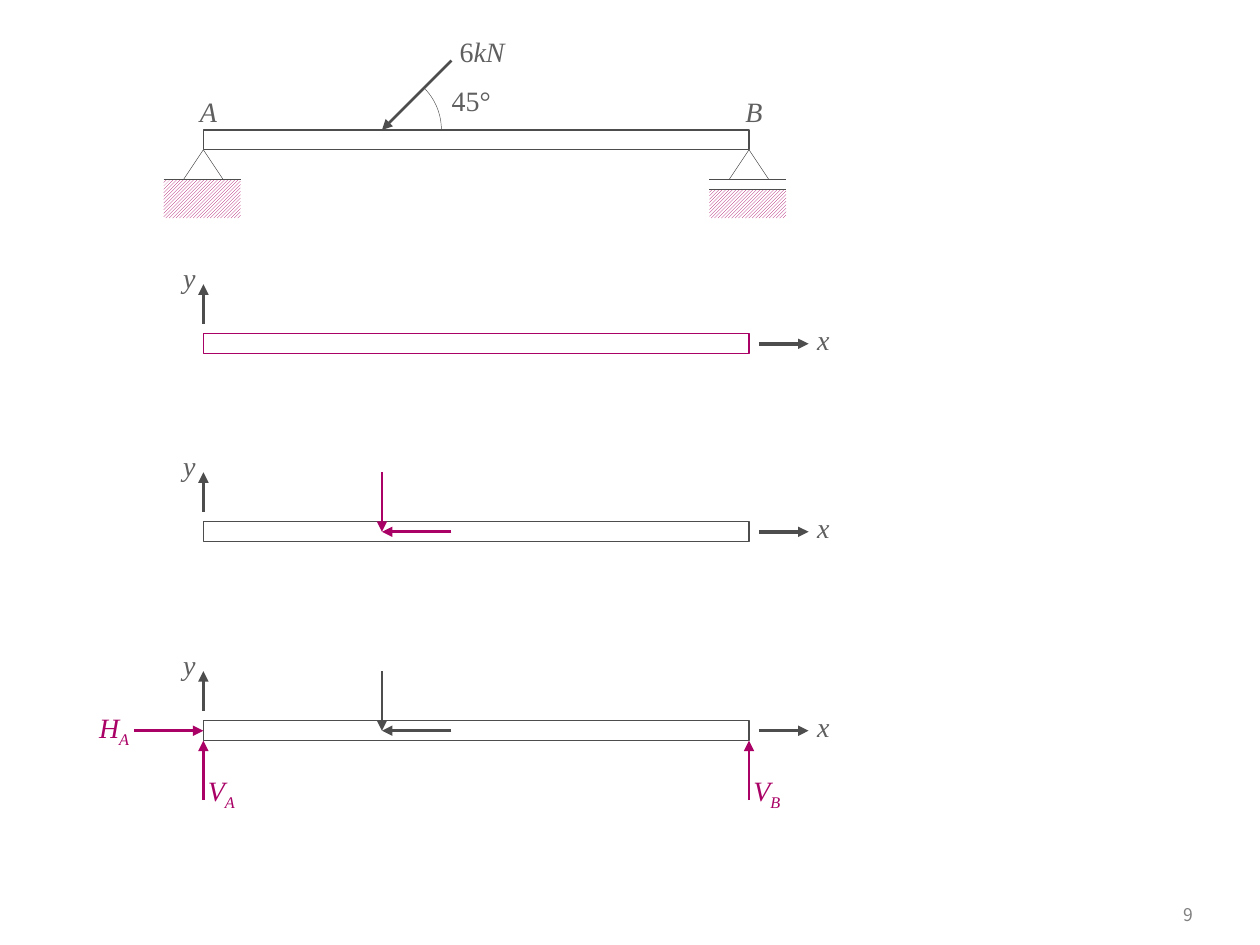
from typing import NamedTuple

from lxml.etree import SubElement
from pptx import Presentation
from pptx.dml.color import RGBColor
from pptx.enum.dml import MSO_PATTERN
from pptx.enum.shapes import MSO_CONNECTOR, MSO_SHAPE
from pptx.enum.text import MSO_ANCHOR, PP_ALIGN
from pptx.oxml.ns import qn
from pptx.util import Inches, Mm, Pt

INK, GREY, ACCENT, WHITE = "4D4D4D", "5F5F5F", "A90165", "FFFFFF"
CELL = Mm(2)
LEFT_END = 20.5
SPAN, HALF_DEPTH, LOAD_AT = 55, 1, 18
LABEL_ROWS = 4.7
PAGE = 9


class Run(NamedTuple):
    text: str
    italic: bool = True
    subscript: bool = False


class Label(NamedTuple):
    col: float
    row: float
    cols: float
    runs: tuple[Run, ...]
    color: str = GREY


class Segment(NamedTuple):
    start: tuple[float, float]
    end: tuple[float, float]
    color: str = INK
    weight: float = 1.5
    arrow: bool = True


class Support(NamedTuple):
    col: float
    ground_row: float
    ground_rows: float
    lines: tuple[float, ...]


def rgb(color: str) -> RGBColor:
    return RGBColor.from_string(color)


def col_x(col: float) -> int:
    return round((LEFT_END + col) * CELL)


def row_y(axis: float, row: float) -> int:
    return round((axis + row) * CELL)


def add_text(shapes, box, runs, *, color=GREY, size=16, font="Times New Roman",
             align=PP_ALIGN.CENTER, anchor=MSO_ANCHOR.TOP):
    frame = shapes.add_textbox(*box).text_frame
    frame.word_wrap = True
    frame.vertical_anchor = anchor
    paragraph = frame.paragraphs[0]
    paragraph.alignment = align
    for part in runs:
        run = paragraph.add_run()
        run.text = part.text
        run.font.name, run.font.size = font, Pt(size)
        run.font.italic = part.italic
        run.font.color.rgb = rgb(color)
        if part.subscript:
            run.font._element.set("baseline", "-25000")
    return paragraph


def draw_label(shapes, axis: float, label: Label) -> None:
    box = (col_x(label.col), row_y(axis, label.row),
           round(label.cols * CELL), round(LABEL_ROWS * CELL))
    add_text(shapes, box, label.runs, color=label.color)


def draw_segment(shapes, axis: float, segment: Segment) -> None:
    (x1, y1), (x2, y2) = segment.start, segment.end
    line = shapes.add_connector(MSO_CONNECTOR.STRAIGHT, col_x(x1), row_y(axis, y1),
                                col_x(x2), row_y(axis, y2))
    line.line.color.rgb = rgb(segment.color)
    line.line.width = Pt(segment.weight)
    if segment.arrow:
        SubElement(line.line._get_or_add_ln(), qn("a:tailEnd"), type="triangle")
    SubElement(line._element.spPr, qn("a:effectLst"))


def draw_outline(shapes, axis: float, kind, col: float, row: float, cols: float,
                 rows: float, color: str = INK, weight: float = 0.25):
    shape = shapes.add_shape(kind, col_x(col), row_y(axis, row),
                             round(cols * CELL), round(rows * CELL))
    shape.shadow.inherit = False
    shape.fill.background()
    shape.line.color.rgb = rgb(color)
    shape.line.width = Pt(weight)
    return shape


def draw_beam(shapes, axis: float, color: str = INK) -> None:
    draw_outline(shapes, axis, MSO_SHAPE.RECTANGLE, 0, -HALF_DEPTH, SPAN,
                 2 * HALF_DEPTH, color, 0.75)


def draw_support(shapes, axis: float, support: Support) -> None:
    left, width = support.col - 4, 7.75
    ground = draw_outline(shapes, axis, MSO_SHAPE.RECTANGLE, left,
                          support.ground_row, width, support.ground_rows)
    ground.line.fill.background()
    ground.fill.patterned()
    ground.fill.pattern = MSO_PATTERN.LIGHT_UPWARD_DIAGONAL
    ground.fill.fore_color.rgb = rgb(ACCENT)
    ground.fill.back_color.rgb = rgb(WHITE)
    for row in support.lines:
        draw_segment(shapes, axis, Segment((left, row), (left + width, row),
                                           weight=0.25, arrow=False))
    draw_outline(shapes, axis, MSO_SHAPE.ISOSCELES_TRIANGLE,
                 support.col - 2, HALF_DEPTH, 4, 3)


def draw_axes(shapes, axis: float) -> None:
    draw_segment(shapes, axis, Segment((0, -2), (0, -6), weight=0))
    draw_segment(shapes, axis, Segment((SPAN + 1, 0), (SPAN + 6, 0), weight=0))
    draw_label(shapes, axis, Label(60, -2.75, 5, (Run("x"),)))
    draw_label(shapes, axis, Label(-3.9, -9, 5, (Run("y"),)))


def draw_load_components(shapes, axis: float, color: str) -> None:
    for start in ((LOAD_AT + 7, 0), (LOAD_AT, -6)):
        draw_segment(shapes, axis, Segment(start, (LOAD_AT, 0), color))


def draw_loaded_beam(shapes, axis: float) -> None:
    draw_support(shapes, axis, Support(SPAN, 5, 2.9, (4, 5)))
    draw_support(shapes, axis, Support(0, 4, 3.9, (4,)))
    draw_beam(shapes, axis)
    draw_segment(shapes, axis, Segment((LOAD_AT + 7, -8), (LOAD_AT, -HALF_DEPTH)))
    angle = draw_outline(shapes, axis, MSO_SHAPE.ARC, LOAD_AT - 6, -7, 12, 12)
    angle.adjustments[0], angle.adjustments[1] = 189, 0
    for label in (
        Label(-3, -5.2, 7, (Run("A"),)),
        Label(23.1, -11.2, 10, (Run("6", italic=False), Run("kN"))),
        Label(21, -6.3, 12, (Run("45°", italic=False),)),
        Label(52, -5.2, 7, (Run("B"),)),
    ):
        draw_label(shapes, axis, label)


def draw_reactions(shapes, axis: float) -> None:
    for start, end in (((0, 7), (0, 1)), ((-7, 0), (0, 0)), ((SPAN, 7), (SPAN, 1))):
        draw_segment(shapes, axis, Segment(start, end, ACCENT))
    for col, row, cols, force, point in (
        (-1.7, 3.7, 7, "V", "A"),
        (-13, -2.7, 8, "H", "A"),
        (SPAN - 1.7, 3.7, 7, "V", "B"),
    ):
        draw_label(shapes, axis, Label(col, row, cols, (
            Run(force), Run(point, subscript=True)), ACCENT))


def draw_page_number(shapes) -> None:
    box = [Inches(length) for length in (8.86, 7.09, 0.71, 0.33)]
    paragraph = add_text(shapes, box, (Run(str(PAGE), italic=False),),
                         color="808080", size=10, font="Noto Sans CJK KR",
                         align=PP_ALIGN.RIGHT, anchor=MSO_ANCHOR.MIDDLE)
    number = paragraph.runs[0]._r
    number.tag = qn("a:fld")
    number.set("id", "{B6F15528-21DE-4FAA-801E-634DDDAF4B2B}")
    number.set("type", "slidenum")


def main() -> None:
    deck = Presentation()
    deck.slide_width, deck.slide_height = Inches(10), Inches(7.5)
    deck.element.set("firstSlideNum", str(PAGE))
    shapes = deck.slides.add_slide(deck.slide_layouts[6]).shapes
    loaded, coordinates, components, reactions = 14.1, 34.65, 53.6, 73.65

    draw_page_number(shapes)
    draw_beam(shapes, coordinates, ACCENT)
    draw_loaded_beam(shapes.add_group_shape().shapes, loaded)
    draw_beam(shapes, components)
    draw_load_components(shapes.add_group_shape().shapes, components, ACCENT)
    for axis in (coordinates, components):
        draw_axes(shapes.add_group_shape().shapes, axis)

    free_body = shapes.add_group_shape().shapes
    draw_beam(free_body, reactions)
    draw_reactions(free_body, reactions)
    draw_load_components(free_body, reactions, INK)
    draw_axes(free_body, reactions)
    deck.save("out.pptx")


if __name__ == "__main__":
    main()
